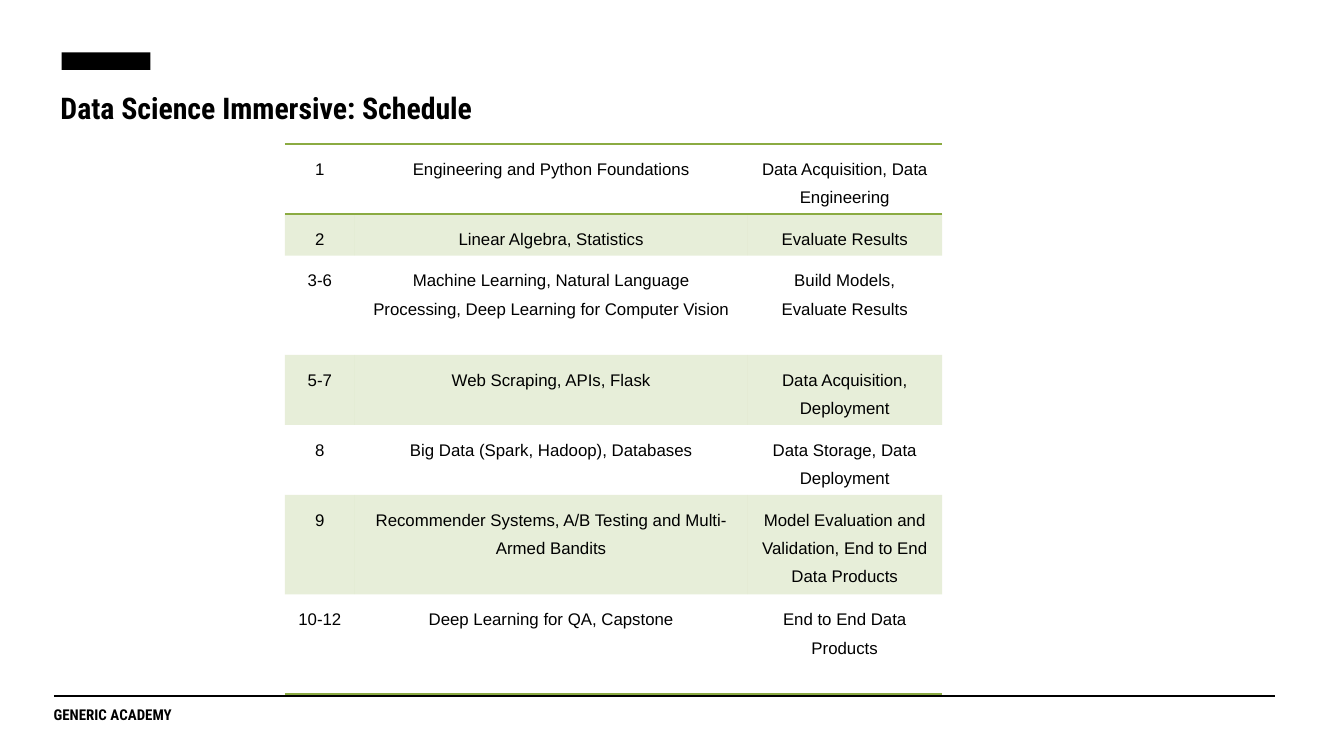
from lxml import etree
from pptx import Presentation
from pptx.dml.color import RGBColor
from pptx.enum import shapes, text
from pptx.oxml import ns
from pptx.util import Inches, Pt

COLORS = {"ink": "000000", "green": "8BAB42"}
HEADING_FONT, BODY_FONT = "Roboto Condensed", "Arial"
PLAIN_TABLE_STYLE = "{2D5ABB26-0587-4C30-8999-92F81FD0307C}"
TITLE = "Data Science Immersive: Schedule"
FOOTER = "GENERIC ACADEMY"
COLUMN_WIDTHS = [0.52, 2.92, 1.45]
# row height, weeks, topics, skills
SCHEDULE = [
    (0.52, "1", "Engineering and Python Foundations", "Data Acquisition, Data Engineering"),
    (0.31, "2", "Linear Algebra, Statistics", "Evaluate Results"),
    (0.74, "3-6", "Machine Learning, Natural Language Processing, Deep Learning for Computer Vision",
     "Build Models, Evaluate Results"),
    (0.52, "5-7", "Web Scraping, APIs, Flask", "Data Acquisition, Deployment"),
    (0.52, "8", "Big Data (Spark, Hadoop), Databases", "Data Storage, Data Deployment"),
    (0.74, "9", "Recommender Systems, A/B Testing and Multi-Armed Bandits",
     "Model Evaluation and Validation, End to End Data Products"),
    (0.74, "10-12", "Deep Learning for QA, Capstone", "End to End Data Products"),
]
# row index: sides with a line
BORDERS = {0: "TB", len(SCHEDULE) - 1: "B"}


def rgb(name):
    return RGBColor.from_string(COLORS[name])


def place(shape, left, top, width, height):
    shape.left, shape.top = Inches(left), Inches(top)
    shape.width, shape.height = Inches(width), Inches(height)


def write(frame, words, font, size, bold=False, align=text.PP_ALIGN.LEFT):
    para = frame.paragraphs[0]
    para.alignment = align
    span = para.add_run()
    span.text = words
    span.font.name, span.font.size, span.font.bold = font, Pt(size), bold
    span.font.color.rgb = rgb("ink")
    return para


def write_heading(box, words, size):
    frame = box.text_frame
    frame.word_wrap = True
    frame.auto_size = text.MSO_AUTO_SIZE.NONE
    frame.vertical_anchor = text.MSO_ANCHOR.TOP
    frame.margin_left = frame.margin_right = Inches(0.1)
    frame.margin_top = frame.margin_bottom = Inches(0.1)
    write(frame, words, HEADING_FONT, size, bold=True)


def set_borders(cell, sides, color, points):
    props = cell._tc.get_or_add_tcPr()
    for index, side in enumerate(sides):
        line = etree.Element(ns.qn(f"a:ln{side}"), w=str(Pt(points)))
        fill = etree.SubElement(line, ns.qn("a:solidFill"))
        etree.SubElement(fill, ns.qn("a:srgbClr"), val=COLORS[color])
        props.insert(index, line)


def tint(cell, color, percent):
    cell.fill.solid()
    cell.fill.fore_color.rgb = rgb(color)
    value = cell._tc.tcPr.find(f"{ns.qn('a:solidFill')}/{ns.qn('a:srgbClr')}")
    etree.SubElement(value, ns.qn("a:alpha"), val=str(percent * 1000))


def add_schedule(page, left, top):
    heights = [row[0] for row in SCHEDULE]
    table = page.shapes.add_table(
        len(SCHEDULE), len(COLUMN_WIDTHS), Inches(left), Inches(top),
        Inches(sum(COLUMN_WIDTHS)), Inches(sum(heights))).table
    table.first_row = table.horz_banding = False
    table._tbl.tblPr.find(ns.qn("a:tableStyleId")).text = PLAIN_TABLE_STYLE
    for column, width in zip(table.columns, COLUMN_WIDTHS):
        column.width = Inches(width)
    for r, (height, *entries) in enumerate(SCHEDULE):
        table.rows[r].height = Inches(height)
        for c, words in enumerate(entries):
            cell = table.cell(r, c)
            cell.margin_left = cell.margin_right = Inches(0.1)
            cell.margin_top = cell.margin_bottom = Inches(0.05)
            para = write(cell.text_frame, words, BODY_FONT, 9, align=text.PP_ALIGN.CENTER)
            para.line_spacing = 1.5
            if r % 2:
                tint(cell, "green", 20)
            else:
                cell.fill.background()
            set_borders(cell, BORDERS.get(r, ""), "green", 1)


def main():
    deck = Presentation()
    deck.slide_width = Inches(10)
    deck.slide_height = deck.slide_width * 9 // 16
    page = deck.slides.add_slide(deck.slide_layouts[5])

    bar = page.shapes.add_shape(shapes.MSO_SHAPE.RECTANGLE, 0, 0, 0, 0)
    place(bar, 0.46, 0.39, 0.66, 0.13)
    bar.shadow.inherit = False
    bar.fill.solid()
    bar.fill.fore_color.rgb = rgb("ink")
    bar.line.fill.background()

    footer = page.shapes.add_textbox(0, 0, 0, 0)
    place(footer, 0.3, 5.15, 9.19, 0.49)
    write_heading(footer, FOOTER, 8)

    rule = page.shapes.add_connector(
        shapes.MSO_CONNECTOR.STRAIGHT, Inches(0.4), Inches(5.18), Inches(9.49), Inches(5.18))
    rule.line.color.rgb = rgb("ink")
    rule.line.width = Pt(0.75)
    etree.SubElement(rule._element.spPr, ns.qn("a:effectLst"))

    title = page.shapes.title
    place(title, 0.35, 0.57, 9.19, 0.5)
    write_heading(title, TITLE, 16)

    add_schedule(page, 2.12, 1.07)
    deck.save("out.pptx")


if __name__ == "__main__":
    main()
